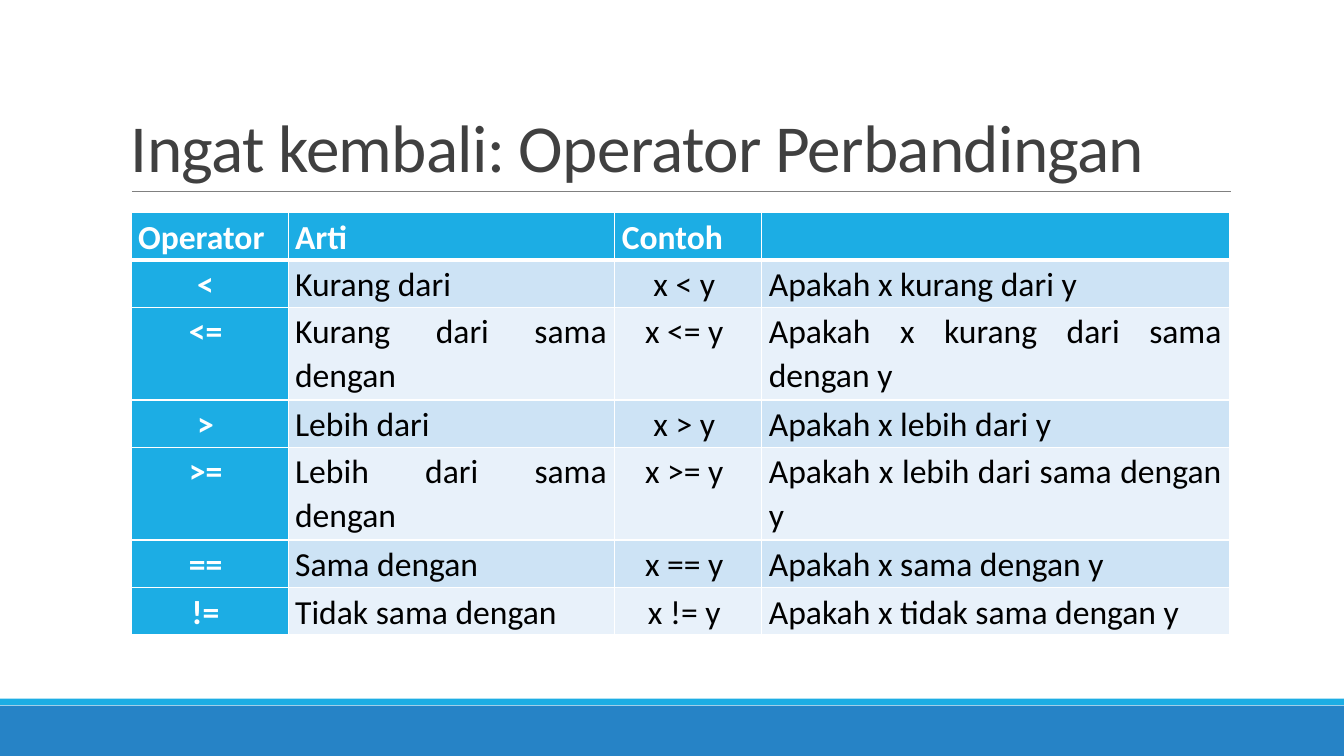
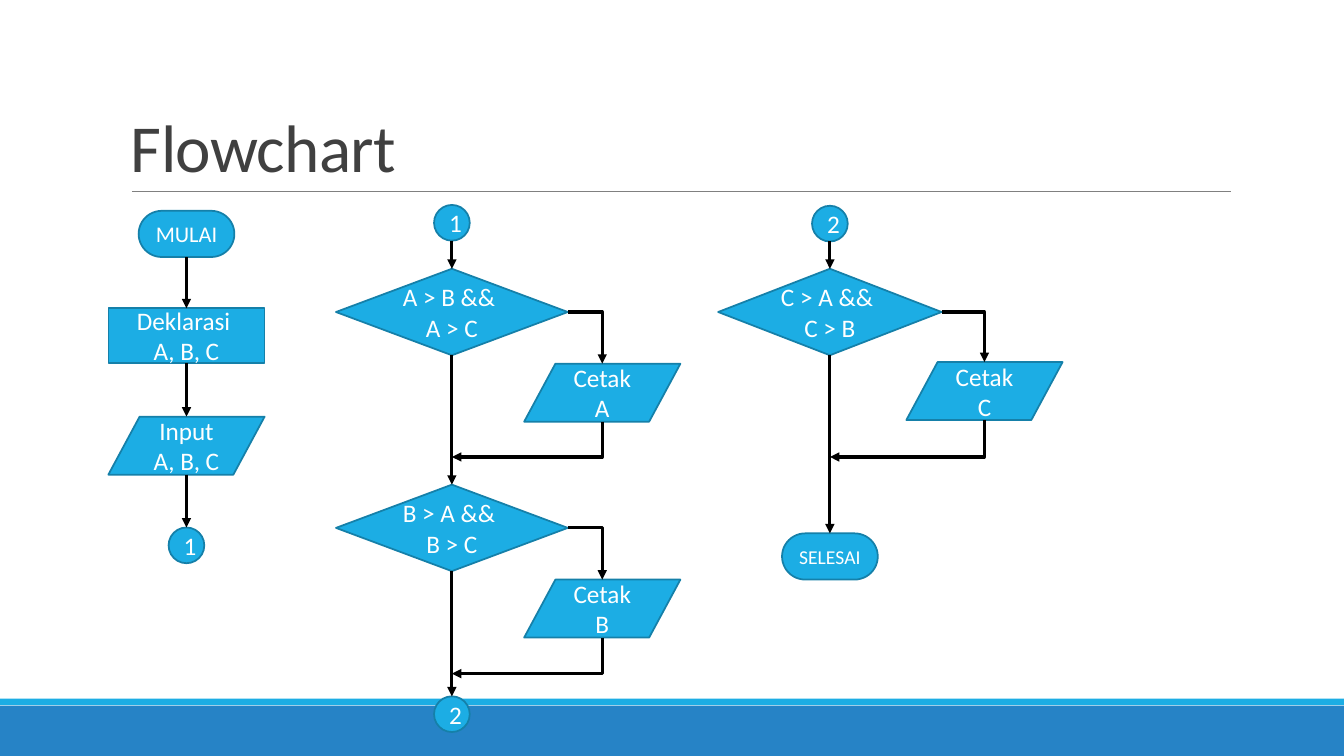
"""Build two lesson slides: comparison operators and a flowchart for the largest number."""
from dataclasses import dataclass, replace
from itertools import pairwise

from lxml.etree import SubElement
from pptx import Presentation
from pptx.dml.color import RGBColor
from pptx.enum.shapes import MSO_CONNECTOR, MSO_SHAPE
from pptx.enum.text import MSO_ANCHOR, PP_ALIGN
from pptx.oxml.ns import qn
from pptx.util import Inches, Pt

GRID_COLUMNS, GRID_ROWS = 160, 90
FONT = "Calibri"
WHITE, BLACK, TITLE_GREY, RULE_GREY = "FFFFFF", "000000", "404040", "808080"
CYAN, DEEP_BLUE, OUTLINE = "1CADE4", "2683C6", "1580A9"
STRIPES = ("CDE3F5", "E8F1FA")

TABLE_LEFT, TABLE_TOP = 15.6, 25.3
COLUMN_SPANS = (18.7, 38.9, 17.5, 55.7)
ROW_SPAN, TALL_ROW_SPAN = 5.64, 11.04
TALL_OPERATORS = ("<=", ">=")
OPERATORS = (
    ("Operator", "Arti", "Contoh", ""),
    ("<", "Kurang dari", "x < y", "Apakah x kurang dari y"),
    ("<=", "Kurang dari sama dengan", "x <= y", "Apakah x kurang dari sama dengan y"),
    (">", "Lebih dari", "x > y", "Apakah x lebih dari y"),
    (">=", "Lebih dari sama dengan", "x >= y", "Apakah x lebih dari sama dengan y"),
    ("==", "Sama dengan", "x == y", "Apakah x sama dengan y"),
    ("!=", "Tidak sama dengan", "x != y", "Apakah x tidak sama dengan y"),
)


@dataclass(frozen=True)
class Kind:
    preset: MSO_SHAPE
    width: float
    height: float
    side_inset: float = 0.1


TERMINAL = Kind(MSO_SHAPE.ROUNDED_RECTANGLE, 11.4, 5.5)
PROCESS = Kind(MSO_SHAPE.RECTANGLE, 18.6, 6.5)
IN_OUT = Kind(MSO_SHAPE.FLOWCHART_DATA, 18.6, 6.9)
DECISION = Kind(MSO_SHAPE.FLOWCHART_DECISION, 27.6, 10.3, 0)
NARROW_DECISION = replace(DECISION, width=26.6)
JUNCTION = Kind(MSO_SHAPE.OVAL, 4.25, 4.25)


@dataclass(frozen=True)
class Branch:
    text: str
    center: float
    top: float
    merge: float


@dataclass(frozen=True)
class Step:
    kind: Kind
    text: str
    top: float
    size: int = 18
    branch: Branch | None = None

    @property
    def bottom(self) -> float:
        return self.top + self.kind.height


@dataclass(frozen=True)
class Lane:
    center: float
    steps: tuple[Step, ...]


LANES = (
    Lane(22.2, (
        Step(TERMINAL, "MULAI", 25.1, 16),
        Step(PROCESS, "Deklarasi \vA, B, C", 36.7),
        Step(IN_OUT, "Input A, B, C", 49.6),
        Step(JUNCTION, "1", 62.8),
    )),
    Lane(53.8, (
        Step(JUNCTION, "1", 24.4),
        Step(DECISION, "A > B && \vA > C", 32, branch=Branch("Cetak A", 71.7, 43.3, 54.4)),
        Step(DECISION, "B > A && \vB > C", 57.7, branch=Branch("Cetak B", 71.7, 69, 80.2)),
        Step(JUNCTION, "2", 82.9),
    )),
    Lane(98.8, (
        Step(JUNCTION, "2", 24.5),
        Step(NARROW_DECISION, "C > A && \vC > B", 32,
             branch=Branch("Cetak C", 117.2, 43.1, 54.4)),
        Step(TERMINAL, "SELESAI", 63.5, 14),
    )),
)


def cells(count: float) -> Inches:
    """Turn grid cells into a length."""
    return Inches(count / 12)


def colour(value: str) -> RGBColor:
    """Turn a hex string into a colour."""
    return RGBColor.from_string(value)


def style_font(font, size: float, value: str, bold: bool = False) -> None:
    """Apply the deck's font with a size and a colour."""
    font.name, font.size, font.bold = FONT, Pt(size), bold
    font.color.rgb = colour(value)


def add_box(slide, preset, left: float, top: float, width: float, height: float, fill: str):
    """Add a flat filled shape without an outline."""
    box = slide.shapes.add_shape(preset, *map(cells, (left, top, width, height)))
    box.shadow.inherit = False
    box.fill.solid()
    box.fill.fore_color.rgb = colour(fill)
    box.line.fill.background()
    return box


def add_line(slide, start: tuple, end: tuple, value: str, weight: float,
             style=MSO_CONNECTOR.STRAIGHT):
    """Add a flat connector between two grid points."""
    line = slide.shapes.add_connector(style, *map(cells, (*start, *end)))
    line.line.color.rgb = colour(value)
    line.line.width = Pt(weight)
    SubElement(line._element.spPr, qn("a:effectLst"))
    return line


def add_arrow(slide, start: tuple, end: tuple, style=MSO_CONNECTOR.STRAIGHT):
    """Add a black flow arrow."""
    arrow = add_line(slide, start, end, BLACK, 2.25, style)
    SubElement(arrow.line._get_or_add_ln(), qn("a:tailEnd"), type="triangle")
    return arrow


def add_elbow(slide, start: tuple, end: tuple, down_first: bool = False) -> None:
    """Add a one-bend arrow: right then down, or down then left."""
    if down_first:
        middle_x, middle_y = (start[0] + end[0]) / 2, (start[1] + end[1]) / 2
        half_x, half_y = (start[0] - end[0]) / 2, (end[1] - start[1]) / 2
        start = (middle_x - half_y, middle_y - half_x)
        end = (middle_x + half_y, middle_y + half_x)
    elbow = add_arrow(slide, start, end, MSO_CONNECTOR.ELBOW)
    properties = elbow._element.spPr
    properties.find(qn("a:prstGeom")).set("prst", "bentConnector2")
    if down_first:
        properties.find(qn("a:xfrm")).set("rot", "5400000")


def add_base_slide(deck, title: str):
    """Add a slide with the shared bands, rule and title."""
    slide = deck.slides.add_slide(deck.slide_layouts[6])
    add_box(slide, MSO_SHAPE.RECTANGLE, 0, 84, GRID_COLUMNS, 6, DEEP_BLUE)
    add_box(slide, MSO_SHAPE.RECTANGLE, 0, 83.16, GRID_COLUMNS, 0.8, CYAN)
    add_line(slide, (15.7, 22.8), (146.5, 22.8), RULE_GREY, 0.5)
    frame = slide.shapes.add_textbox(*map(cells, (14.4, 3.7, 132, 19.1))).text_frame
    frame.word_wrap = True
    frame.vertical_anchor = MSO_ANCHOR.BOTTOM
    frame.text = title
    heading = frame.paragraphs[0]
    heading.line_spacing = 0.85
    style_font(heading.font, 48, TITLE_GREY)
    heading.runs[0]._r.get_or_add_rPr().set("spc", "-50")
    return slide


def add_borders(cell, bottom: float) -> None:
    """Draw white borders around a cell."""
    properties = cell._tc.get_or_add_tcPr()
    for side, weight in (("L", 1), ("R", 1), ("T", 1), ("B", bottom)):
        border = SubElement(properties, qn(f"a:ln{side}"), w=str(Pt(weight)))
        SubElement(SubElement(border, qn("a:solidFill")), qn("a:srgbClr"), val=WHITE)


def fill_cell(cell, text: str, row: int, column: int) -> None:
    """Write and style one cell of the operator table."""
    emphasis = row == 0 or column == 0
    centered = row > 0 and column in (0, 2)
    add_borders(cell, 3 if row == 0 else 1)
    cell.fill.solid()
    cell.fill.fore_color.rgb = colour(CYAN if emphasis else STRIPES[(row - 1) % 2])
    cell.margin_left = Inches(0.07)
    cell.margin_right = Inches(0.15 if centered else 0.08)
    cell.margin_top = cell.margin_bottom = Inches(0.02)
    cell.text = text
    paragraph = cell.text_frame.paragraphs[0]
    paragraph.alignment = PP_ALIGN.CENTER if centered else PP_ALIGN.JUSTIFY
    paragraph.line_spacing = 1.07
    style_font(paragraph.font, 24, WHITE if emphasis else BLACK, emphasis)


def add_operator_table(slide) -> None:
    """Add the table of comparison operators."""
    heights = [TALL_ROW_SPAN if line[0] in TALL_OPERATORS else ROW_SPAN for line in OPERATORS]
    table = slide.shapes.add_table(
        len(OPERATORS), len(COLUMN_SPANS), cells(TABLE_LEFT), cells(TABLE_TOP),
        cells(sum(COLUMN_SPANS)), cells(sum(heights))).table
    for column, span in zip(table.columns, COLUMN_SPANS):
        column.width = cells(span)
    for row, (line, height) in enumerate(zip(OPERATORS, heights)):
        table.rows[row].height = cells(height)
        for column, text in enumerate(line):
            fill_cell(table.cell(row, column), text, row, column)


def add_step(slide, step: Step, center: float) -> None:
    """Add one flowchart symbol centred on its lane."""
    kind = step.kind
    symbol = add_box(slide, kind.preset, center - kind.width / 2, step.top,
                     kind.width, kind.height, CYAN)
    if kind == TERMINAL:
        symbol.adjustments[0] = 0.5
    symbol.line.color.rgb = colour(OUTLINE)
    symbol.line.width = Pt(1.25)
    frame = symbol.text_frame
    frame.word_wrap = True
    frame.vertical_anchor = MSO_ANCHOR.MIDDLE
    frame.margin_left = frame.margin_right = Inches(kind.side_inset)
    frame.text = step.text
    label = frame.paragraphs[0]
    label.alignment = PP_ALIGN.CENTER
    style_font(label.font, step.size, WHITE)


def add_branch(slide, step: Step, center: float) -> None:
    """Add the output to the right of a decision and its way back."""
    branch = step.branch
    output = Step(IN_OUT, branch.text, branch.top)
    add_step(slide, output, branch.center)
    right_corner = (center + step.kind.width / 2, step.top + step.kind.height / 2)
    add_elbow(slide, right_corner, (branch.center, output.top))
    add_elbow(slide, (branch.center, output.bottom), (center, branch.merge), down_first=True)


def add_lane(slide, lane: Lane) -> None:
    """Add a column of steps joined by arrows."""
    for step in lane.steps:
        add_step(slide, step, lane.center)
        if step.branch:
            add_branch(slide, step, lane.center)
    for upper, lower in pairwise(lane.steps):
        add_arrow(slide, (lane.center, upper.bottom), (lane.center, lower.top))


def main() -> None:
    """Build and save the deck."""
    deck = Presentation()
    deck.slide_width, deck.slide_height = cells(GRID_COLUMNS), cells(GRID_ROWS)
    add_operator_table(add_base_slide(deck, "Ingat kembali: Operator Perbandingan"))
    flowchart = add_base_slide(deck, "Flowchart")
    for lane in LANES:
        add_lane(flowchart, lane)
    deck.save("out.pptx")


if __name__ == "__main__":
    main()
